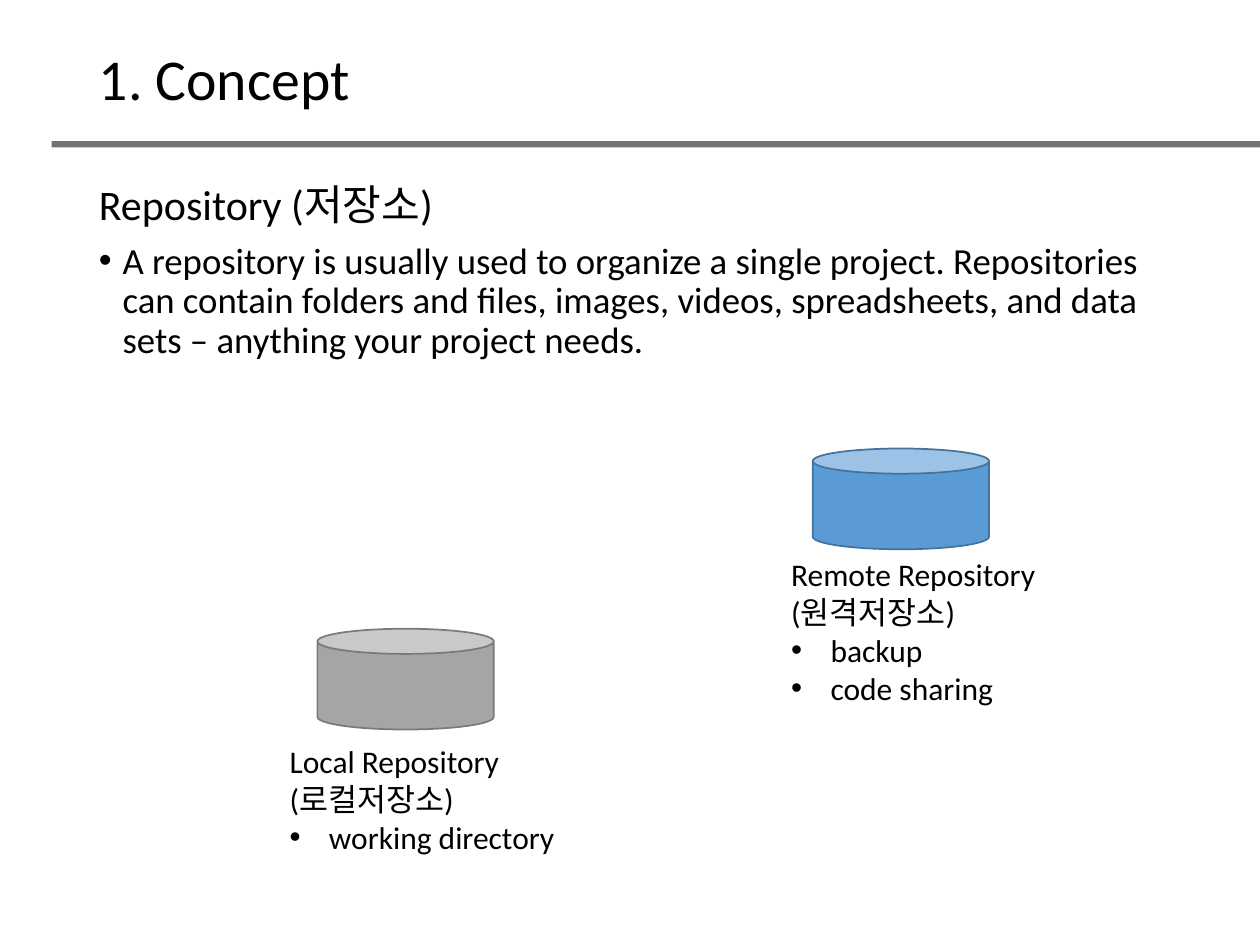
import pptx
import pptx.dml.color
import pptx.enum.shapes
import pptx.enum.text
import pptx.oxml
import pptx.oxml.ns
import pptx.util

Pt = pptx.util.Pt
ANCHOR = pptx.enum.text.MSO_ANCHOR
SHAPE = pptx.enum.shapes.MSO_SHAPE

COLORS = {
    "text": "000000", "rule": "767171",
    "remote": "5B9BD5", "remote_edge": "43739E",
    "local": "A5A5A5", "local_edge": "7A7A7A",
}
FONT = "Calibri"

# Content: a paragraph is (text, size, bullet indent or 0)
TITLE = [("1. Concept", 33, 0)]
DEFINITION = [
    ("Repository (저장소)", 24, 0),
    ("A repository is usually used to organize a single project. Repositories "
     "can contain folders and files, images, videos, spreadsheets, and data "
     "sets – anything your project needs.", 21, 13.5),
]
REPOSITORIES = [
    {"key": "remote", "can": (464.4, 256.3), "caption": (445, 313.9, 159, 94.5),
     "names": ["Remote Repository", "(원격저장소)"],
     "uses": ["backup", "code sharing"]},
    {"key": "local", "can": (181.4, 359.3), "caption": (158.4, 420.5, 179, 72.7),
     "names": ["Local Repository", "(로컬저장소)"],
     "uses": ["working directory"]},
]
CAN_SIZE = (100.8, 57.6)
CAPTION_SIZE, CAPTION_INDENT = 18, 22.5


def rgb(name):
    return pptx.dml.color.RGBColor.from_string(COLORS[name])


def set_all(target, values):
    for name, value in values.items():
        setattr(target, name, value)


def add_bullet(paragraph, indent):
    properties = paragraph._p.get_or_add_pPr()
    properties.set("marL", str(Pt(indent)))
    properties.set("indent", str(-Pt(indent)))
    for tag, attribute, value in (("a:buFont", "typeface", "Arial"),
                                  ("a:buChar", "char", "•")):
        bullet = pptx.oxml.parse_xml(f'<{tag} {pptx.oxml.ns.nsdecls("a")}/>')
        bullet.set(attribute, value)
        properties.append(bullet)


def add_text(slide, box, paragraphs, anchor=ANCHOR.TOP, line_spacing=1.0, gap=0):
    frame = slide.shapes.add_textbox(*map(Pt, box)).text_frame
    set_all(frame, {"word_wrap": True, "vertical_anchor": anchor})
    for index, (text, size, indent) in enumerate(paragraphs):
        paragraph = frame.add_paragraph() if index else frame.paragraphs[0]
        paragraph.line_spacing = line_spacing
        if index and gap:
            paragraph.space_before = Pt(gap)
        if indent:
            add_bullet(paragraph, indent)
        run = paragraph.add_run()
        run.text = text
        set_all(run.font, {"name": FONT, "size": Pt(size)})
        run.font.color.rgb = rgb("text")


def add_block(slide, kind, box, fill, edge=None):
    block = slide.shapes.add_shape(kind, *map(Pt, box))
    block.shadow.inherit = False
    block.fill.solid()
    block.fill.fore_color.rgb = rgb(fill)
    if edge:
        block.line.color.rgb = rgb(edge)
        block.line.width = Pt(1)
    else:
        block.line.fill.background()


def main():
    deck = pptx.Presentation()
    set_all(deck, {"slide_width": Pt(720), "slide_height": Pt(540)})
    slide = deck.slides.add_slide(deck.slide_layouts[6])

    # Title, definition and the rule between them
    add_text(slide, (49.5, 12.2, 621, 69), TITLE, ANCHOR.MIDDLE, 0.9)
    add_text(slide, (49.5, 101.5, 621, 414), DEFINITION, line_spacing=0.9, gap=7.5)
    add_block(slide, SHAPE.RECTANGLE, (29.5, 80.6, 690.5, 3.6), "rule")

    # Repositories with their captions
    for repository in REPOSITORIES:
        key = repository["key"]
        add_block(slide, SHAPE.CAN, repository["can"] + CAN_SIZE, key, key + "_edge")
        caption = [(name, CAPTION_SIZE, 0) for name in repository["names"]]
        caption += [(use, CAPTION_SIZE, CAPTION_INDENT) for use in repository["uses"]]
        add_text(slide, repository["caption"], caption)

    deck.save("out.pptx")


if __name__ == "__main__":
    main()
